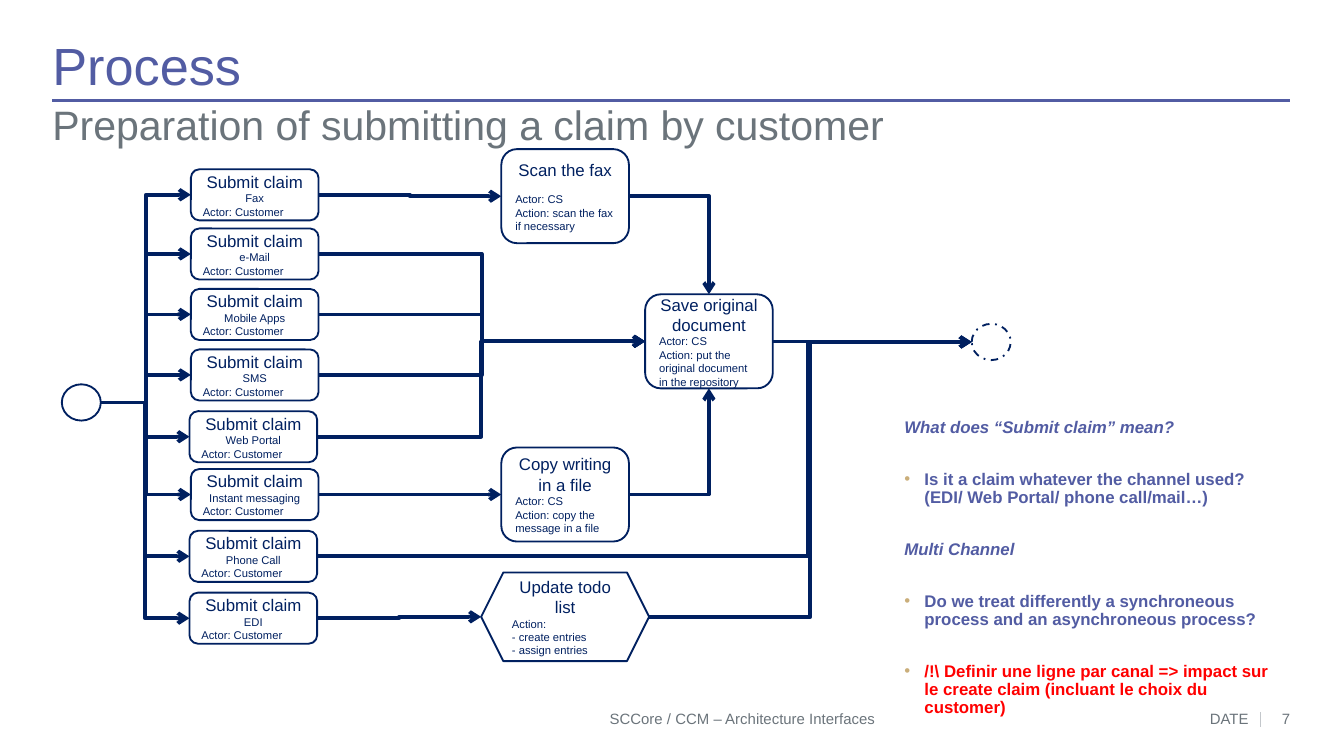
import pptx
import pptx.dml.color
import pptx.enum.dml
import pptx.enum.shapes
import pptx.enum.text
import pptx.oxml.ns
import pptx.util
from lxml import etree

COLS, ROWS = 100, 56.25
UNIT = pptx.util.Inches(0.1)
NAVY, BLUE, GREY = "002060", "525CA3", "6B747B"
RED, TAN, PALE = "FF0000", "CAAE7A", "C3C7CB"
KIND = pptx.enum.shapes.MSO_SHAPE
ALIGN = pptx.enum.text.PP_ALIGN
ANCHOR = pptx.enum.text.MSO_ANCHOR
LINK = pptx.enum.shapes.MSO_CONNECTOR
PT = pptx.util.Pt


def grid(*cells):
    return [round(cell * UNIT) for cell in cells]


def tint(color, code):
    color.rgb = pptx.dml.color.RGBColor.from_string(code)


def add(node, tag, **values):
    return etree.SubElement(node, pptx.oxml.ns.qn(tag), values)


def style(para, text, size, code, align=ALIGN.LEFT, bold=None, slant=None):
    para.text = text
    para.alignment = align
    font = para.font
    font.name, font.size = "Arial", PT(size)
    font.bold, font.italic = bold, slant
    tint(font.color, code)


def frame(shape, pad=(0, 0), anchor=ANCHOR.TOP):
    body = shape.text_frame
    body.word_wrap = True
    body.vertical_anchor = anchor
    body.margin_left = body.margin_right = round(pad[0] * UNIT)
    body.margin_top = body.margin_bottom = round(pad[1] * UNIT)
    return body


def paras(body, count):
    return [body.paragraphs[0]] + [body.add_paragraph() for _ in range(count - 1)]


def label(slide, box, text, size, code, align=ALIGN.LEFT, anchor=ANCHOR.TOP):
    body = frame(slide.shapes.add_textbox(*grid(*box)), anchor=anchor)
    style(body.paragraphs[0], text, size, code, align)
    return body.paragraphs[0]


def node(slide, kind, box):
    shape = slide.shapes.add_shape(kind, *grid(*box))
    shape.shadow.inherit = False
    shape.fill.background()
    tint(shape.line.color, NAVY)
    shape.line.width = PT(1)
    return shape


def step(slide, box, head, lines, kind=KIND.FLOWCHART_ALTERNATE_PROCESS, mid=0, gap=0):
    shape = node(slide, kind, box)
    body = frame(shape, (0.7, 0.4), ANCHOR.MIDDLE)
    first, *rest = paras(body, len(lines) + 1)
    style(first, head, 9, NAVY, ALIGN.CENTER)
    for i, (para, text) in enumerate(zip(rest, lines)):
        style(para, text, 6, NAVY, ALIGN.CENTER if i < mid else ALIGN.LEFT)
    rest[0].space_before = PT(gap)
    return shape


def rule(slide, ends, code, width, kind=LINK.STRAIGHT):
    line = slide.shapes.add_connector(kind, *ends)
    tint(line.line.color, code)
    line.line.width = PT(width)
    add(line._element.spPr, "a:effectLst")
    return line


def side(shape, name):
    across, down = {"left": (0, 0.5), "right": (1, 0.5),
                    "top": (0.5, 0), "base": (0.5, 1)}[name]
    return (round(shape.left + across * shape.width),
            round(shape.top + down * shape.height))


def link(slide, start, end, into="left", bend=0.5):
    line = rule(slide, side(start, "right") + side(end, into), NAVY, 2, LINK.ELBOW)
    props = line._element.spPr
    add(props.find(pptx.oxml.ns.qn("a:ln")), "a:tailEnd", type="arrow")
    geom = props.find(pptx.oxml.ns.qn("a:prstGeom"))
    if into != "left":
        geom.set("prst", "bentConnector2")
    elif bend != 0.5:
        guides = geom.find(pptx.oxml.ns.qn("a:avLst"))
        if guides is None:
            guides = add(geom, "a:avLst")
        add(guides, "a:gd", name="adj1", fmla=f"val {round(bend * 100000)}")


def bullet(para):
    props = para._p.get_or_add_pPr()
    props.set("marL", str(round(1.5 * UNIT)))
    props.set("indent", str(round(-1.5 * UNIT)))
    add(add(props, "a:buClr"), "a:srgbClr", val=TAN)
    add(props, "a:buFont", typeface="Arial")
    add(props, "a:buChar", char="•")


def notes(slide):
    items = [
        ("What does “Submit claim” mean?", False, BLUE),
        ("Is it a claim whatever the channel used? "
         "(EDI/ Web Portal/ phone call/mail…)", True, BLUE),
        ("Multi Channel", False, BLUE),
        ("Do we treat differently a synchroneous process "
         "and an asynchroneous process?", True, BLUE),
        ("/!\\ Definir une ligne par canal => impact sur le create claim "
         "(incluant le choix du customer)", True, RED),
    ]
    body = frame(slide.shapes.add_textbox(*grid(66.3, 30.7, 29.9, 17.9)), (1, 0.5))
    for para, (text, dot, code) in zip(paras(body, len(items)), items):
        if dot:
            bullet(para)
        style(para, text, 9, code, bold=True, slant=not dot)
        para.line_spacing = 0.9
        para.space_before = PT(18)


def page(slide):
    rule(slide, grid(3.9, 7.5, 96, 7.5), BLUE, 1.5)
    rule(slide, grid(93.8, 53, 93.8, 54.1), PALE, 0.5)
    title = label(slide, (3.9, 3, 92.1, 4.2), "Process", 28, BLUE, anchor=ANCHOR.MIDDLE)
    title.line_spacing = 0.9
    lead = label(slide, (3.9, 7.8, 92.1, 3.8),
                 "Preparation of submitting a claim by customer", 22, GREY)
    lead.line_spacing = 0.9
    lead.space_before = PT(18)
    label(slide, (84.4, 52.8, 8.5, 1.3), "DATE", 8, GREY, ALIGN.RIGHT)
    label(slide, (24.2, 52.8, 62.1, 1.3), "SCCore / CCM – Architecture Interfaces",
          8, GREY, ALIGN.CENTER)
    label(slide, (92.6, 52.8, 3.4, 1.3), "7", 8, GREY, ALIGN.RIGHT)


def flow(slide):
    start = node(slide, KIND.FLOWCHART_CONNECTOR, (4.6, 28.6, 2.9, 2.7))
    end = node(slide, KIND.FLOWCHART_CONNECTOR, (72.3, 24.1, 2.9, 2.7))
    end.line.dash_style = pptx.enum.dml.MSO_LINE.DASH_DOT
    scan = step(slide, (37.3, 11.1, 9.5, 7), "Scan the fax",
                ["Actor: CS", "Action: scan the fax if necessary"], gap=7)
    save = step(slide, (48, 21.9, 9.5, 7), "Save original document",
                ["Actor: CS", "Action: put the original document in the repository"])
    copy = step(slide, (37.3, 33.3, 9.5, 7), "Copy writing in a file",
                ["Actor: CS", "Action: copy the message in a file"])
    todo = step(slide, (35.8, 42.6, 12.5, 6.6), "Update todo list",
                ["Action:", "- create entries", "- assign entries"], KIND.HEXAGON)
    ways = [
        ("Fax", 14.2, 12.6, scan, 0.5),
        ("e-Mail", 14.2, 17, save, 0.5),
        ("Mobile Apps", 14.2, 21.5, save, 0.5),
        ("SMS", 14.2, 26, save, 0.5),
        ("Web Portal", 14.1, 30.6, save, 0.5),
        ("Instant messaging", 14.2, 34.9, copy, 0.5),
        ("Phone Call", 14.1, 39.5, end, 0.75),
        ("EDI", 14.1, 44.1, todo, 0.5),
    ]
    for name, left, top, goal, bend in ways:
        claim = step(slide, (left, top, 9.5, 3.8), "Submit claim",
                     [name, "Actor: Customer"], mid=1)
        link(slide, start, claim)
        link(slide, claim, goal, bend=bend)
    link(slide, scan, save, "top")
    link(slide, copy, save, "base")
    link(slide, save, end)
    link(slide, todo, end)


def main():
    deck = pptx.Presentation()
    deck.slide_width, deck.slide_height = grid(COLS, ROWS)
    slide = deck.slides.add_slide(deck.slide_layouts[6])
    page(slide)
    flow(slide)
    notes(slide)
    deck.save("out.pptx")


if __name__ == "__main__":
    main()
